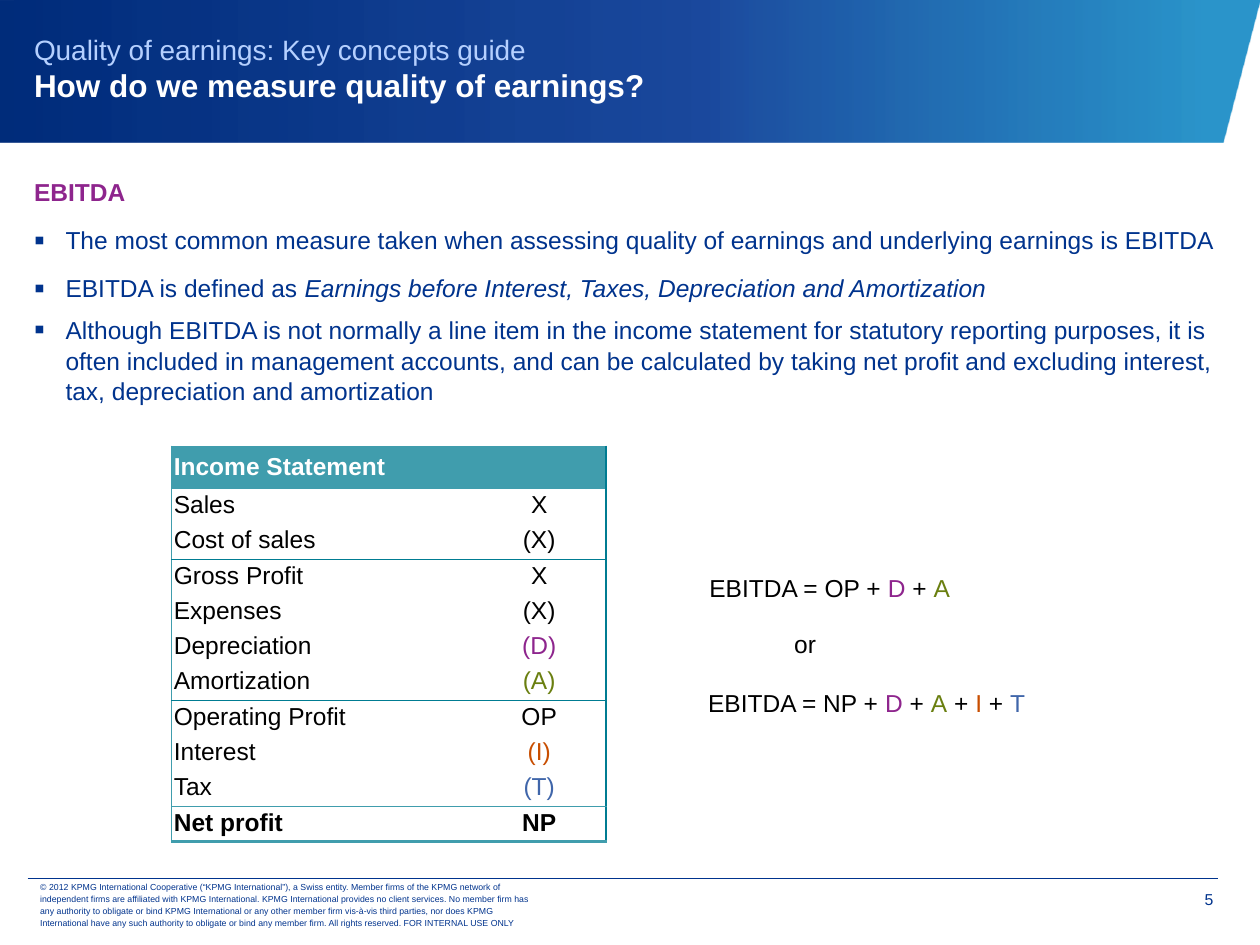
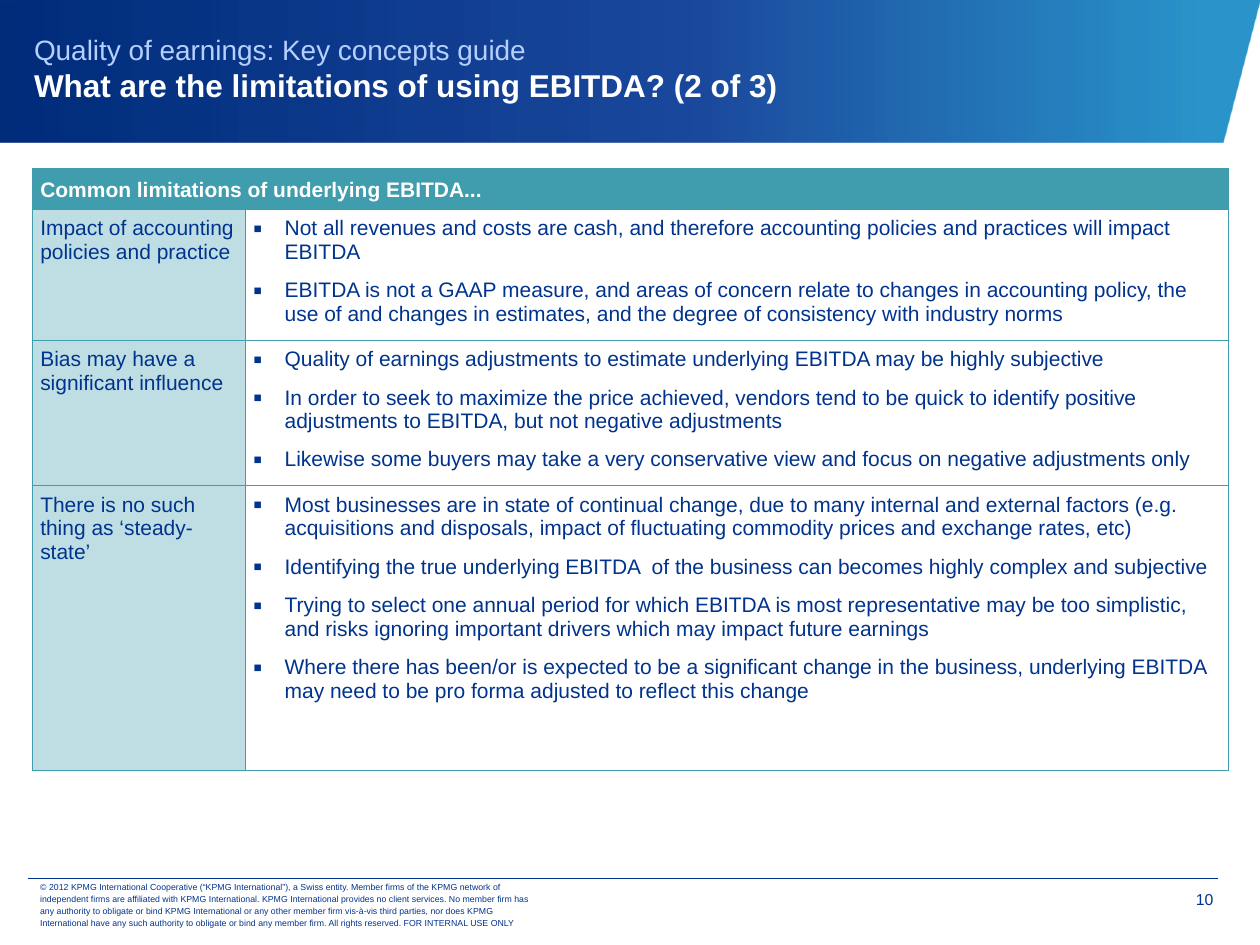
from lxml.etree import SubElement
from pptx import Presentation
from pptx.dml.color import RGBColor
from pptx.enum.shapes import MSO_CONNECTOR
from pptx.enum.text import MSO_ANCHOR, MSO_AUTO_SIZE, PP_ALIGN
from pptx.oxml import parse_xml
from pptx.oxml.ns import nsdecls, qn
from pptx.util import Inches, Pt

NAVY = RGBColor(0x00, 0x33, 0x8D)
PALE_BLUE = RGBColor(0xB5, 0xD0, 0xFF)
WHITE = RGBColor(0xFF, 0xFF, 0xFF)
BLACK = RGBColor(0x00, 0x00, 0x00)
TEAL = RGBColor(0x40, 0x9D, 0xAD)
DEEP_TEAL = RGBColor(0x00, 0x7C, 0x92)
PALE_TEAL = RGBColor(0xBF, 0xDE, 0xE4)
PURPLE = RGBColor(0x8E, 0x25, 0x8D)
GREEN = RGBColor(0x6A, 0x7F, 0x10)
ORANGE = RGBColor(0xC8, 0x4E, 0x00)
BLUE = RGBColor(0x40, 0x66, 0xAA)

FONT = "Arial"
NO_STYLE = "{2D5ABB26-0587-4C30-8999-92F81FD0307C}"
BAND_STOPS = [(4, "0080C0", 83), (44, "003492", 89), (100, "002C7A", 100)]
GUIDE = "Quality of earnings: Key concepts guide"
COPYRIGHT = (
    "© 2012 KPMG International Cooperative (“KPMG International”), a Swiss entity. "
    "Member firms of the KPMG network of independent firms are affiliated with KPMG "
    "International. KPMG International provides no client services. No member firm has "
    "any authority to obligate or bind KPMG International or any other member firm "
    "vis-à-vis third parties, nor does KPMG International have any such authority to "
    "obligate or bind any member firm. All rights reserved. FOR INTERNAL USE ONLY"
)


def add_text(tf, runs, size=14, color=BLACK, bold=False, align=PP_ALIGN.LEFT,
             before=0, after=0, spacing=1.0, bullet=False):
    first = not tf.paragraphs[0].runs
    p = tf.paragraphs[0] if first else tf.add_paragraph()
    p.alignment = align
    p.space_before = Pt(0 if first else before)
    p.space_after = Pt(after)
    p.line_spacing = spacing
    pPr = p._p.get_or_add_pPr()
    indent = Inches(0.25) if bullet else 0
    pPr.set("marL", str(indent))
    pPr.set("indent", str(-indent))
    if bullet:
        SubElement(SubElement(pPr, qn("a:buClr")), qn("a:srgbClr"), val=str(NAVY))
        SubElement(pPr, qn("a:buSzPct"), val="125000")
        SubElement(pPr, qn("a:buFont"), typeface=FONT)
        SubElement(pPr, qn("a:buChar"), char="▪")
    else:
        SubElement(pPr, qn("a:buNone"))
    for text, fmt in [(runs, {})] if isinstance(runs, str) else runs:
        r = p.add_run()
        r.text = text
        r.font.name = FONT
        r.font.size = Pt(fmt.get("size", size))
        r.font.color.rgb = fmt.get("color", color)
        r.font.bold = fmt.get("bold", bold)
        r.font.italic = fmt.get("italic", False)
    return p


def style_cell(cell, fill, margin, **borders):
    cell.margin_left = cell.margin_right = Inches(margin)
    cell.margin_top = cell.margin_bottom = Inches(margin)
    tcPr = cell._tc.get_or_add_tcPr()
    for side in "LRTB":
        if side in borders:
            color, width = borders[side]
            ln = SubElement(tcPr, qn(f"a:ln{side}"), w=str(Pt(width)))
            SubElement(SubElement(ln, qn("a:solidFill")), qn("a:srgbClr"), val=str(color))
    cell.fill.solid()
    cell.fill.fore_color.rgb = fill


prs = Presentation()
prs.slide_width = Inches(10)
prs.slide_height = Inches(7.5)

slides = []
for layout, title, number in [
    (1, "How do we measure quality of earnings?", 5),
    (5, "What are the limitations of using EBITDA? (2 of 3)", 10),
]:
    s = prs.slides.add_slide(prs.slide_layouts[layout])
    slides.append(s)

    outline = s.shapes.build_freeform(Inches(-0.01), Inches(1.13))
    outline.add_line_segments(
        [(Inches(x), Inches(y)) for x, y in [(9.7, 1.13), (10, -0.01), (-0.01, 0)]])
    band = outline.convert_to_shape()
    band.shadow.inherit = False
    band.line.fill.background()
    band.fill.gradient()
    stops = "".join(
        f'<a:gs pos="{pos * 1000}"><a:srgbClr val="{rgb}">'
        f'<a:alpha val="{alpha * 1000}"/></a:srgbClr></a:gs>'
        for pos, rgb, alpha in BAND_STOPS)
    grad = band._element.spPr.find(qn("a:gradFill"))
    grad.getparent().replace(grad, parse_xml(
        f'<a:gradFill {nsdecls("a")} rotWithShape="1"><a:gsLst>{stops}</a:gsLst>'
        '<a:lin ang="10800000" scaled="0"/></a:gradFill>'))
    s.shapes._spTree.insert(2, band._element)

    sp = s.shapes.title
    sp.left, sp.top, sp.width, sp.height = 0, 0, Inches(9.83), Inches(1.08)
    sp.left = Inches(0.17)
    tf = sp.text_frame
    tf.auto_size = MSO_AUTO_SIZE.NONE
    tf.vertical_anchor = MSO_ANCHOR.MIDDLE
    p = add_text(tf, [(GUIDE, {"size": 16, "color": PALE_BLUE}),
                      (title, {"size": 18, "color": WHITE, "bold": True})])
    br = SubElement(p._p, qn("a:br"))
    SubElement(br, qn("a:rPr"), sz="1600")
    p.runs[0]._r.addnext(br)

    rule = s.shapes.add_connector(
        MSO_CONNECTOR.STRAIGHT, Inches(0.22), Inches(6.97), Inches(9.67), Inches(6.97))
    rule.line.color.rgb = NAVY
    rule.line.width = Pt(0.25)
    SubElement(rule._element.spPr, qn("a:effectLst"))

    tf = s.shapes.add_textbox(Inches(9.08), Inches(6.98), Inches(0.55), Inches(0.31)).text_frame
    tf.word_wrap = True
    tf.margin_left = tf.margin_top = Inches(0.08)
    tf.margin_right = tf.margin_bottom = 0
    add_text(tf, str(number), size=9, color=NAVY, align=PP_ALIGN.RIGHT)

    tf = s.shapes.add_textbox(Inches(0.22), Inches(7), Inches(4.15), Inches(0.35)).text_frame
    tf.word_wrap = True
    tf.vertical_anchor = MSO_ANCHOR.MIDDLE
    add_text(tf, COPYRIGHT, size=5, color=NAVY, spacing=Pt(7))

measure, limits = slides

sp = measure.placeholders[1]
sp.left, sp.top, sp.width, sp.height = Inches(0.27), Inches(1.39), Inches(9.44), Inches(2.02)
tf = sp.text_frame
tf.auto_size = MSO_AUTO_SIZE.NONE
tf.margin_left = tf.margin_right = tf.margin_top = tf.margin_bottom = 0
add_text(tf, "EBITDA", color=PURPLE, bold=True, after=3, spacing=1.05)
for runs, before in [
    ("The most common measure taken when assessing quality of earnings and underlying "
     "earnings is EBITDA", 7),
    ([("EBITDA is defined as ", {}),
      ("Earnings before Interest, Taxes, Depreciation and Amortization", {"italic": True})], 7),
    ("Although EBITDA is not normally a line item in the income statement for statutory "
     "reporting purposes, it is often included in management accounts, and can be calculated "
     "by taking net profit and excluding interest, tax, depreciation and amortization", 3),
]:
    add_text(tf, runs, color=NAVY, before=before, after=3, spacing=1.05, bullet=True)

income_rows = [
    ("Income Statement", "", WHITE),
    ("Sales", "X", BLACK),
    ("Cost of sales", "(X)", BLACK),
    ("Gross Profit", "X", BLACK),
    ("Expenses", "(X)", BLACK),
    ("Depreciation", "(D)", PURPLE),
    ("Amortization", "(A)", GREEN),
    ("Operating Profit", "OP", BLACK),
    ("Interest", "(I)", ORANGE),
    ("Tax", "(T)", BLUE),
    ("Net profit", "NP", BLACK),
]
rules_below = {2: (DEEP_TEAL, 1), 6: (DEEP_TEAL, 1), 9: (TEAL, 0.5), 10: (TEAL, 1.5)}
income = measure.shapes.add_table(
    len(income_rows), 2, Inches(1.36), Inches(3.54), Inches(3.45), Inches(3.13)).table
income.columns[0].width = Inches(2.39)
income.columns[1].width = Inches(1.06)
for i, (label, value, color) in enumerate(income_rows):
    header = i == 0
    income.rows[i].height = Inches(0.32 if header else 0.28)
    for j, text in enumerate((label, value)):
        cell = income.cell(i, j)
        borders = {"R": (DEEP_TEAL, 1)} if j else {"L": (TEAL, 0.5)}
        if header:
            borders["T"] = (TEAL, 0.5)
            cell.vertical_anchor = MSO_ANCHOR.MIDDLE
        if i in rules_below:
            borders["B"] = rules_below[i]
        style_cell(cell, TEAL if header else WHITE, 0.02, **borders)
        add_text(cell.text_frame, text, color=color if j or header else BLACK,
                 bold=i in (0, 10), align=PP_ALIGN.CENTER if j else PP_ALIGN.LEFT)

plus = (" + ", {})
dep_amort = [("D", {"color": PURPLE}), plus, ("A", {"color": GREEN})]
for x, y, w, h, runs, align in [
    (5.57, 4.38, 3.88, 0.57, [("EBITDA = OP + ", {})] + dep_amort, PP_ALIGN.LEFT),
    (5.74, 4.88, 1.3, 0.46, "or", PP_ALIGN.CENTER),
    (5.56, 5.29, 3.99, 0.57, [("EBITDA = NP + ", {})] + dep_amort + [
        plus, ("I", {"color": ORANGE}), plus, ("T", {"color": BLUE})], PP_ALIGN.LEFT),
]:
    tf = measure.shapes.add_textbox(Inches(x), Inches(y), Inches(w), Inches(h)).text_frame
    tf.word_wrap = True
    tf.vertical_anchor = MSO_ANCHOR.MIDDLE
    tf.margin_left = tf.margin_right = tf.margin_top = tf.margin_bottom = Inches(0.06)
    add_text(tf, runs, align=align)

limit_rows = [
    ("Impact of accounting policies and practice", 0.99, [
        "Not all revenues and costs are cash, and therefore accounting policies and practices "
        "will impact EBITDA",
        "EBITDA is not a GAAP measure, and areas of concern relate to changes in accounting "
        "policy, the use of and changes in estimates, and the degree of consistency with "
        "industry norms",
    ]),
    ("Bias may have a significant influence", 1.11, [
        "Quality of earnings adjustments to estimate underlying EBITDA may be highly subjective",
        "In order to seek to maximize the price achieved, vendors tend to be quick to identify "
        "positive adjustments to EBITDA, but not negative adjustments",
        "Likewise some buyers may take a very conservative view and focus on negative "
        "adjustments only",
    ]),
    ("There is no such thing as ‘steady-state’", 2.26, [
        "Most businesses are in state of continual change, due to many internal and external "
        "factors (e.g. acquisitions and disposals, impact of fluctuating commodity prices and "
        "exchange rates, etc)",
        "Identifying the true underlying EBITDA  of the business can becomes highly complex "
        "and subjective",
        "Trying to select one annual period for which EBITDA is most representative may be too "
        "simplistic, and risks ignoring important drivers which may impact future earnings",
        "Where there has been/or is expected to be a significant change in the business, "
        "underlying EBITDA may need to be pro forma adjusted to reflect this change",
    ]),
]
grid = {side: (TEAL, 0.5) for side in "LRTB"}
limitations = limits.shapes.add_table(
    len(limit_rows) + 1, 2, Inches(0.26), Inches(1.34), Inches(9.49), Inches(4.68)).table
limitations.columns[0].width = Inches(1.69)
limitations.columns[1].width = Inches(7.8)
limitations.rows[0].height = Inches(0.32)
heading = limitations.cell(0, 0)
heading.merge(limitations.cell(0, 1))
for j in range(2):
    style_cell(limitations.cell(0, j), TEAL, 0.06, **grid)
heading.vertical_anchor = MSO_ANCHOR.BOTTOM
add_text(heading.text_frame, "Common limitations of underlying EBITDA...",
         size=12, color=WHITE, bold=True)
for i, (topic, height, points) in enumerate(limit_rows, 1):
    limitations.rows[i].height = Inches(height)
    topic_cell, points_cell = limitations.cell(i, 0), limitations.cell(i, 1)
    style_cell(topic_cell, PALE_TEAL, 0.06, **grid)
    style_cell(points_cell, WHITE, 0.06, **grid)
    add_text(topic_cell.text_frame, topic, size=12, color=NAVY, after=3)
    for point in points:
        add_text(points_cell.text_frame, point, size=12, color=NAVY,
                 before=5.5, after=3, bullet=True)

for table in (income, limitations):
    table.first_row = table.horz_banding = False
    table._tbl.tblPr.find(qn("a:tableStyleId")).text = NO_STYLE

prs.save("out.pptx")
